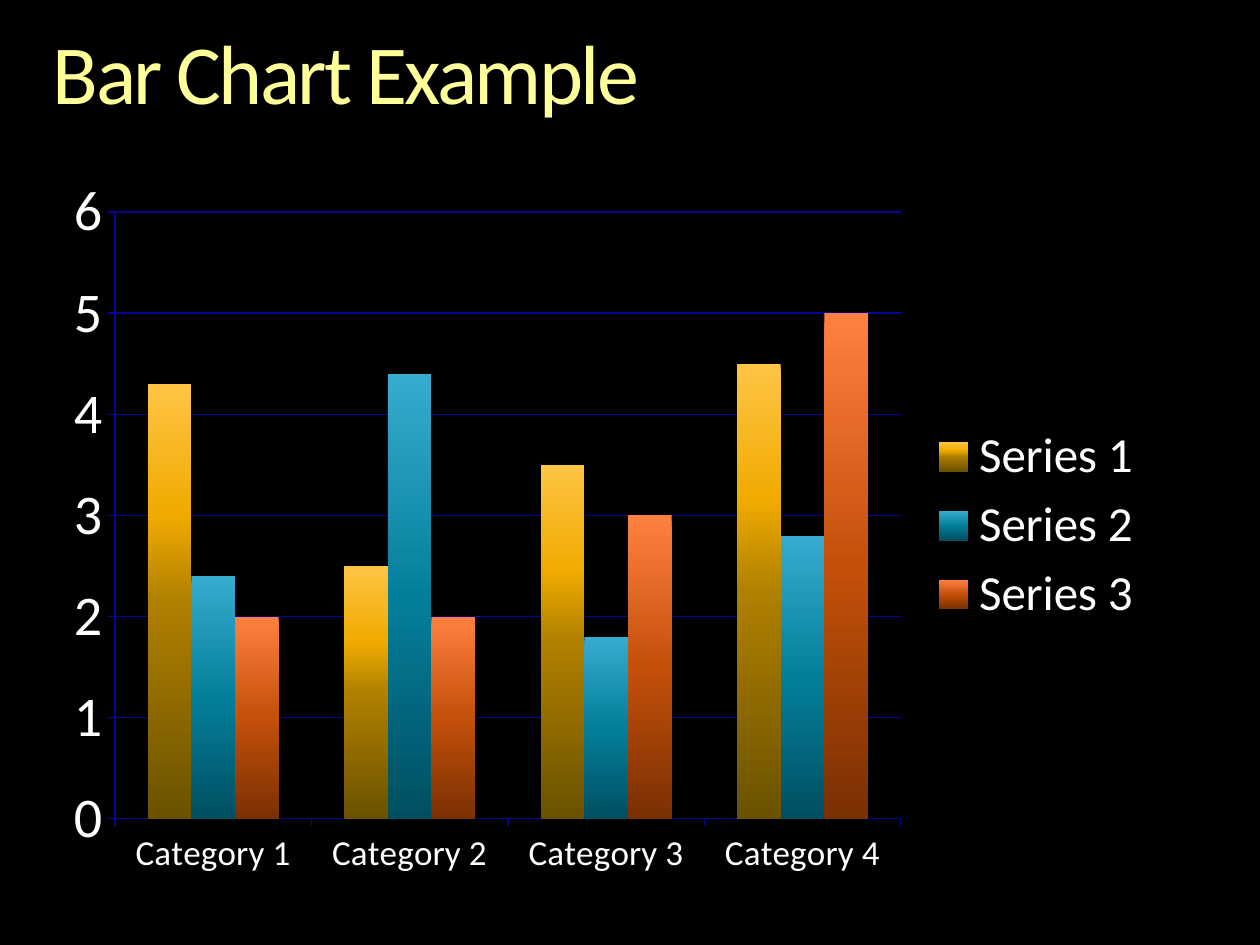
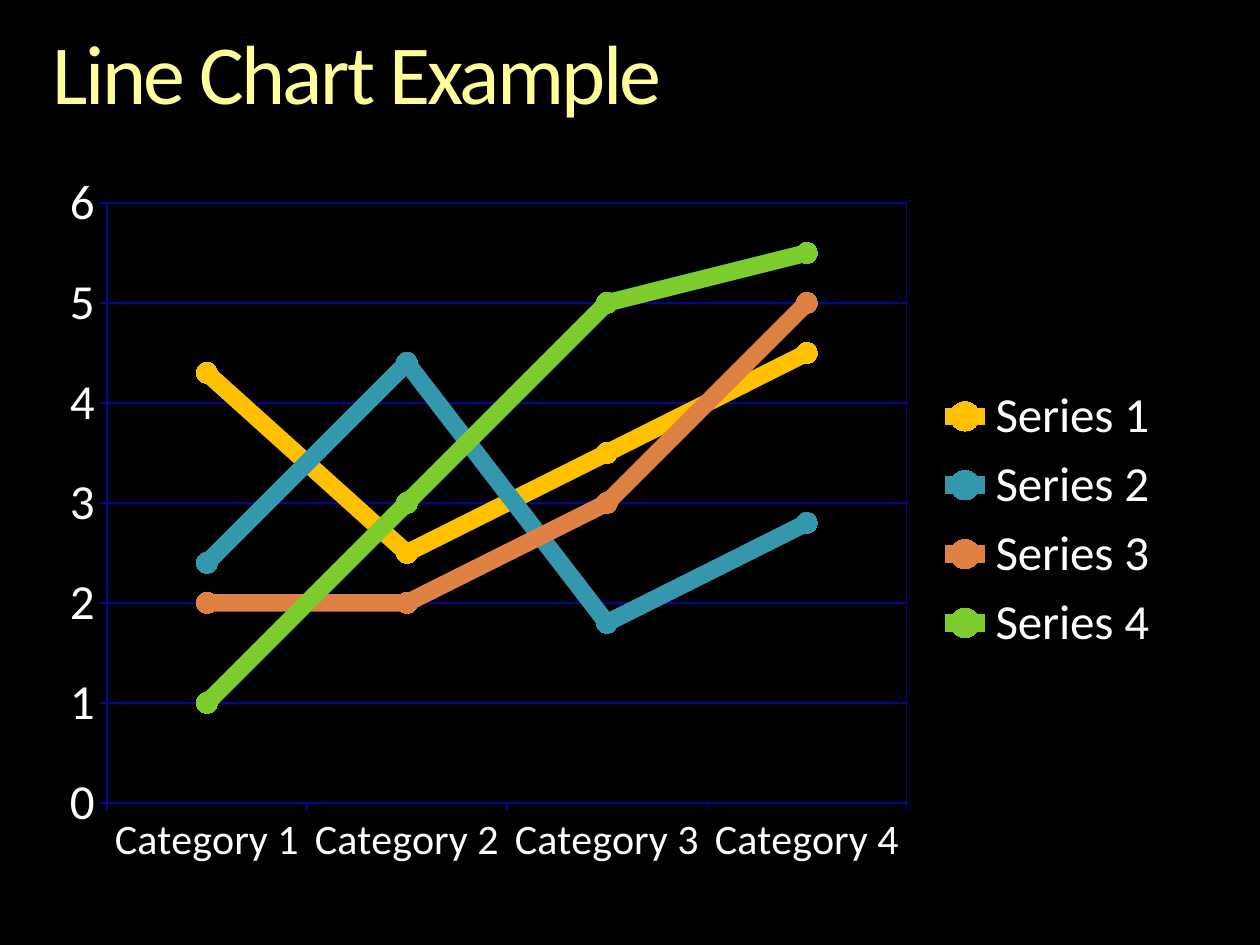
from lxml import etree
from pptx import Presentation
from pptx.chart.data import CategoryChartData
from pptx.dml.color import RGBColor
from pptx.enum.chart import XL_CHART_TYPE, XL_LEGEND_POSITION, XL_MARKER_STYLE, XL_TICK_MARK
from pptx.enum.text import MSO_ANCHOR, PP_ALIGN
from pptx.oxml import parse_xml
from pptx.oxml.ns import nsdecls, qn
from pptx.util import Pt

# Content
CATEGORIES = ["Category 1", "Category 2", "Category 3", "Category 4"]
SERIES = [
    ("Series 1", (4.3, 2.5, 3.5, 4.5)),
    ("Series 2", (2.4, 4.4, 1.8, 2.8)),
    ("Series 3", (2, 2, 3, 5)),
    ("Series 4", (1, 3, 5, 5.5)),
]
# Boxes are left, top, width, height in points
SLIDES = [
    {"title": "Bar Chart Example", "kind": XL_CHART_TYPE.COLUMN_CLUSTERED,
     "series": SERIES[:3], "category_size": 20, "value_size": 32,
     "chart_box": (30.24, 92.88, 632.16, 414.72), "plot_box": (65.7, 121.1, 449.1, 346.9)},
    {"title": "Line Chart Example", "kind": XL_CHART_TYPE.LINE_MARKERS,
     "series": SERIES, "category_size": 24, "value_size": 28,
     "chart_box": (27.36, 90.72, 644.4, 412.56), "plot_box": (61.1, 116, 457.1, 342.9)},
]

# Shared style
FONT = "Calibri"
TITLE_BOX = (30.24, 18, 660.24, 52.56)
COLORS = {"background": "000000", "title": "FFFF99", "text": "FFFFFF", "grid": "050595"}
LINE_COLORS = ["FFC000", "3497AE", "DF8045", "7DCC2E"]
# Bar gradients from top to bottom: (percent, colour)
BAR_GRADIENTS = [
    [(0, "FFC445"), (30, "F0AB00"), (50, "B08000"), (100, "6B5200")],
    [(0, "38ABD0"), (50, "047F9B"), (100, "004F61")],
    [(0, "FF8040"), (50, "C4500A"), (100, "7A3003")],
]


def rgb(name):
    return RGBColor.from_string(COLORS[name])


def style_font(font, size, color="text"):
    font.name, font.size = FONT, Pt(size)
    font.color.rgb = rgb(color)


def style_line(line, width=0.75):
    line.color.rgb = rgb("grid")
    line.width = Pt(width)


def add_title(slide, text):
    title = slide.shapes.title
    title.left, title.top, title.width, title.height = map(Pt, TITLE_BOX)
    frame = title.text_frame
    frame.margin_left = frame.margin_right = frame.margin_top = frame.margin_bottom = 0
    frame.vertical_anchor = MSO_ANCHOR.TOP
    frame.word_wrap = True
    paragraph = frame.paragraphs[0]
    paragraph.alignment, paragraph.line_spacing = PP_ALIGN.LEFT, 0.9
    run = paragraph.add_run()
    run.text = text
    style_font(run.font, 48, "title")
    run.font.bold = False
    run._r.get_or_add_rPr().set("spc", "-150")


def place_plot(chart, chart_box, plot_box):
    """Fix the inner plot area as fractions of the chart box."""
    (left, top, width, height), (x, y, w, h) = chart_box, plot_box
    fractions = {"x": (x - left) / width, "y": (y - top) / height, "w": w / width, "h": h / height}
    area = chart._chartSpace.chart.plotArea
    for old in area.findall(qn("c:layout")):
        area.remove(old)
    modes = '<c:layoutTarget val="inner"/><c:xMode val="edge"/><c:yMode val="edge"/>'
    values = "".join(f'<c:{key} val="{value:.4f}"/>' for key, value in fractions.items())
    area.insert(0, parse_xml(
        f'<c:layout {nsdecls("c")}><c:manualLayout>{modes}{values}</c:manualLayout></c:layout>'))
    return area


def frame_plot(area):
    area.append(parse_xml(
        f'<c:spPr {nsdecls("c", "a")}><a:solidFill><a:srgbClr val="{COLORS["background"]}"/></a:solidFill>'
        f'<a:ln w="{Pt(0.75)}"><a:solidFill><a:srgbClr val="{COLORS["grid"]}"/></a:solidFill></a:ln></c:spPr>'))


def fill_bar(series, stops):
    series.invert_if_negative = False
    series.format.fill.gradient()
    series.format.fill.gradient_angle = 270
    stop_list = series._element.find(".//" + qn("a:gsLst"))
    for old in list(stop_list):
        stop_list.remove(old)
    for percent, color in stops:
        stop = etree.SubElement(stop_list, qn("a:gs"), pos=str(percent * 1000))
        etree.SubElement(stop, qn("a:srgbClr"), val=color)


def draw_line(series, color):
    series.smooth = False
    series.format.line.color.rgb = RGBColor.from_string(color)
    series.format.line.width = Pt(10)
    series.marker.style, series.marker.size = XL_MARKER_STYLE.CIRCLE, 12
    series.marker.format.fill.solid()
    series.marker.format.fill.fore_color.rgb = RGBColor.from_string(color)
    series.marker.format.line.fill.background()


def add_chart(slide, content):
    data = CategoryChartData()
    data.categories = CATEGORIES
    for name, values in content["series"]:
        data.add_series(name, values)
    box = content["chart_box"]
    chart = slide.shapes.add_chart(content["kind"], *map(Pt, box), data).chart
    chart.has_title = False
    style_font(chart.font, 18)

    # Axes and gridlines
    category, value = chart.category_axis, chart.value_axis
    for axis, size in ((category, content["category_size"]), (value, content["value_size"])):
        style_font(axis.tick_labels.font, size)
        axis.major_tick_mark, axis.minor_tick_mark = XL_TICK_MARK.OUTSIDE, XL_TICK_MARK.NONE
        style_line(axis.format.line)
    value.minimum_scale, value.maximum_scale, value.major_unit = 0, 6, 1
    value.has_major_gridlines = True
    style_line(value.major_gridlines.format.line)

    # Legend
    chart.has_legend = True
    chart.legend.position = XL_LEGEND_POSITION.RIGHT
    chart.legend.include_in_layout = False
    style_font(chart.legend.font, 28)

    # Series
    area = place_plot(chart, box, content["plot_box"])
    plot = chart.plots[0]
    plot.vary_by_categories = False
    if content["kind"] == XL_CHART_TYPE.COLUMN_CLUSTERED:
        plot.gap_width, plot.overlap = 150, 0
        for series, stops in zip(plot.series, BAR_GRADIENTS):
            fill_bar(series, stops)
    else:
        frame_plot(area)
        for series, color in zip(plot.series, LINE_COLORS):
            draw_line(series, color)


# Build the slides
deck = Presentation()
deck.slide_width, deck.slide_height = Pt(720), Pt(540)
master_fill = deck.slide_master.background.fill
master_fill.solid()
master_fill.fore_color.rgb = rgb("background")
title_only = deck.slide_layouts[5]
for content in SLIDES:
    slide = deck.slides.add_slide(title_only)
    add_title(slide, content["title"])
    add_chart(slide, content)
deck.save("out.pptx")
